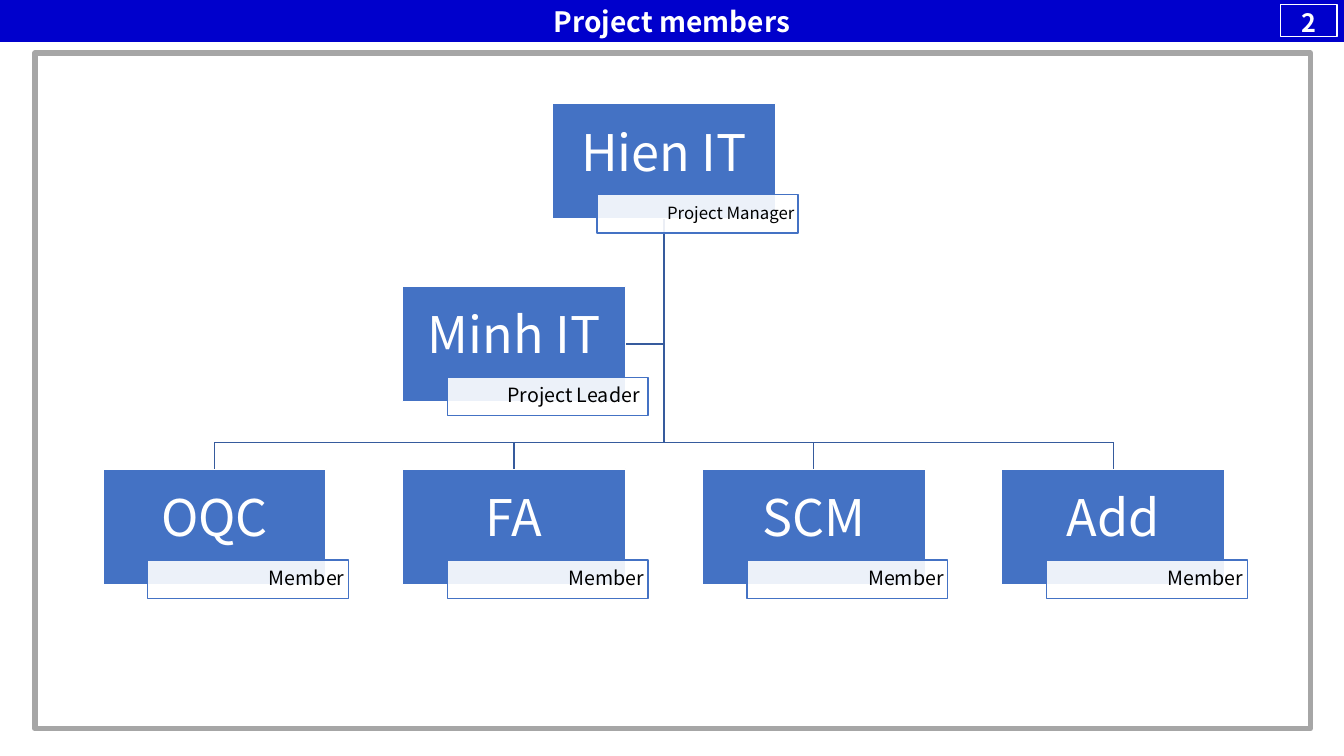
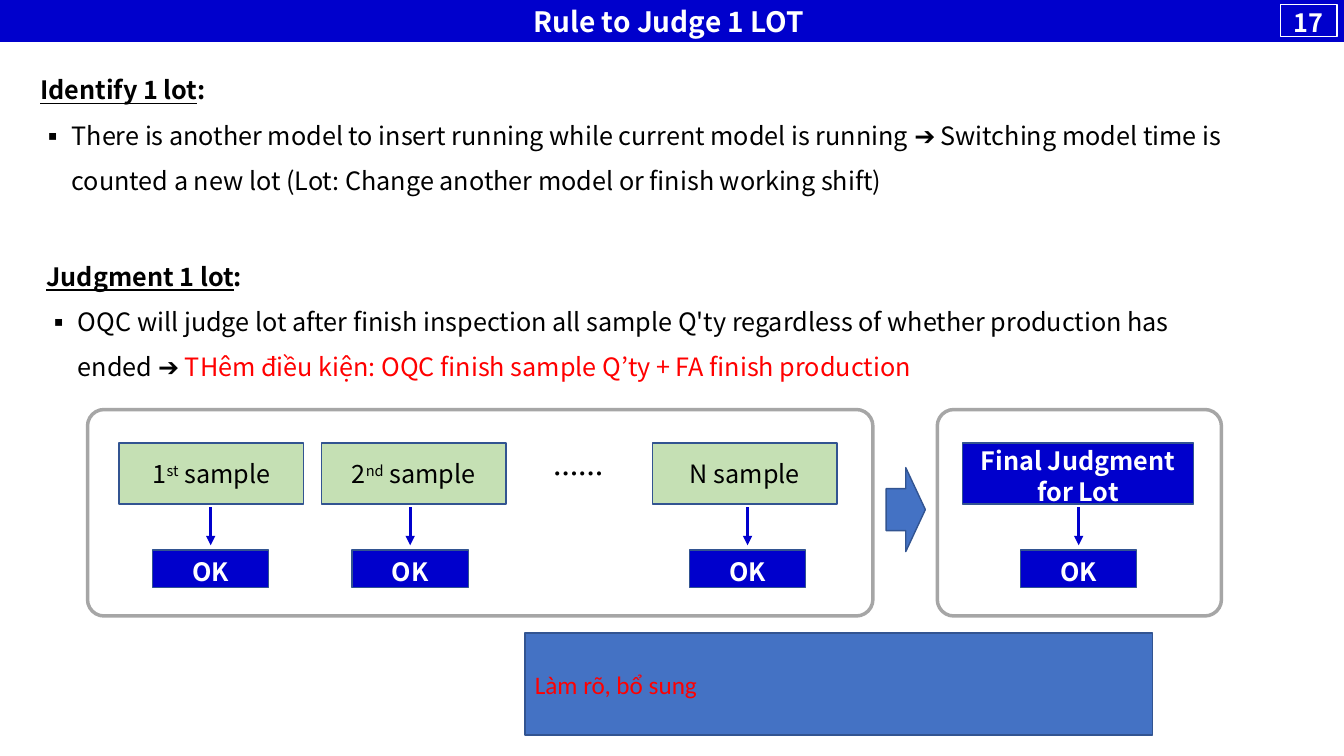
from pptx import Presentation
from pptx.dml.color import RGBColor
from pptx.enum.shapes import MSO_CONNECTOR as CON, MSO_SHAPE as SHP
from pptx.enum.text import MSO_ANCHOR as ANC, MSO_AUTO_SIZE as FIT, PP_ALIGN as ALN
from pptx.oxml.ns import qn
from pptx.util import Pt
from lxml.etree import SubElement as Sub

FONT = "Noto Sans CJK JP"
NAVY = RGBColor(0x00, 0x00, 0xCC)
BLUE = RGBColor(0x44, 0x72, 0xC4)
EDGE = RGBColor(0x32, 0x54, 0x91)
LINK = RGBColor(0x36, 0x5B, 0x9D)
GREEN = RGBColor(0xC5, 0xE0, 0xB4)
GRAY = RGBColor(0xA6, 0xA6, 0xA6)
RED = RGBColor(0xFF, 0x00, 0x00)
WHITE = RGBColor(0xFF, 0xFF, 0xFF)
BLACK = RGBColor(0x00, 0x00, 0x00)

INSET = (7.2, 3.6, 7.2, 3.6)
LOW = (7.2, 3.6, 7.2, 0)  # pushes a label slightly down
BAND = (0, 0, 960, 30)
PITCH_X, PITCH_Y = 214, 130.5  # org chart grid
NAME_W, NAME_H = 159.5, 82.5


def place(shape, area):
    shape.left, shape.top, shape.width, shape.height = map(Pt, area)


def style(run, size, color, bold=False, name=FONT):
    font = run.font
    font.size, font.bold, font.name = Pt(size), bold, name
    font.color.rgb = color
    latin = run._r.rPr.find(qn("a:latin"))
    east = Sub(run._r.rPr, qn("a:ea"), typeface=name)
    latin.addnext(east)


def fit(frame, inset=INSET, anchor=ANC.MIDDLE):
    frame.word_wrap = True
    frame.auto_size = FIT.NONE
    frame.vertical_anchor = anchor
    (frame.margin_left, frame.margin_top,
     frame.margin_right, frame.margin_bottom) = map(Pt, inset)


def label(shape, text, size, color, bold=False, align=ALN.CENTER,
          inset=INSET, name=FONT, gap=None):
    frame = shape.text_frame
    fit(frame, inset)
    frame.text = text
    para = frame.paragraphs[0]
    para.alignment = align
    para.line_spacing = gap
    style(para.runs[0], size, color, bold, name)
    return para


def box(slide, area, fill=None, line=EDGE, width=1, kind=SHP.RECTANGLE):
    shape = slide.shapes.add_shape(kind, *map(Pt, area))
    shape.shadow.inherit = False
    if fill is None:
        shape.fill.background()
    else:
        shape.fill.solid()
        shape.fill.fore_color.rgb = fill
    shape.line.color.rgb = line
    shape.line.width = Pt(width)
    return shape


def link(slide, start, end, color=LINK, width=1):
    line = slide.shapes.add_connector(CON.STRAIGHT, *map(Pt, start + end))
    line.line.color.rgb = color
    line.line.width = Pt(width)
    Sub(line._element.spPr, qn("a:effectLst"))
    return line


def arrow(slide, start, end):
    line = link(slide, start, end, NAVY, 2.25)
    tail = Sub(line.line._get_or_add_ln(), qn("a:tailEnd"))
    tail.set("type", "triangle")


def head(slide, title, number):
    """Title band with the page number at its right end."""
    band = slide.shapes.title
    place(band, BAND)
    band.fill.solid()
    band.fill.fore_color.rgb = NAVY
    label(band, title, 20, WHITE, True)
    page = box(slide, (914.5, 3, 40.5, 23), line=WHITE)
    label(page, number, 18, WHITE, True, inset=LOW)


def role(slide, left, top, text, size):
    """White tag over the lower right of the name box at left, top."""
    tag = box(slide, (left + 32, top + 65, 143.5, 27.5), WHITE, BLUE)
    color = tag.fill._xPr.find(qn("a:solidFill"))[0]
    Sub(color, qn("a:alpha"), val="90000")
    side = size / 5
    label(tag, text, size, BLACK, align=ALN.RIGHT,
          inset=(side, 1, side, 1), gap=0.9)


def chart(slide, left, top):
    """Organisation chart on a grid of columns and rows."""
    people = [("Hien IT", "Project Manager", 1.5, 0, 12),
              ("Minh IT", "Project Leader ", 1, 1, 14)]
    people += [(name, "Member", col, 2, 14)
               for col, name in enumerate(("OQC", "FA", "SCM", "Add"))]
    cards = []
    for name, _, col, row, _ in people:
        card = box(slide, (left + col * PITCH_X, top + row * PITCH_Y,
                           NAME_W, NAME_H), BLUE, WHITE)
        label(card, name, 36, WHITE, inset=(2, 2, 2, 11.5), gap=0.9)
        cards.append(card)

    boss, lead, *team = cards
    mids = [left + col * PITCH_X + NAME_W / 2 for col in range(4)]
    axis = (mids[0] + mids[3]) / 2
    bus = top + 2 * PITCH_Y - 19
    side = top + PITCH_Y + NAME_H / 2
    link(slide, (axis, top), (axis, bus)).begin_connect(boss, 2)
    link(slide, (axis, side), (axis, side)).end_connect(lead, 3)
    link(slide, (mids[0], bus), (mids[3], bus))
    for mid, card in zip(mids, team):
        link(slide, (mid, bus), (mid, bus)).end_connect(card, 0)

    for _, job, col, row, size in people:
        role(slide, left + col * PITCH_X, top + row * PITCH_Y, job, size)


def rule(holder, area, title, parts):
    """Underlined heading and one bullet made of (text, colour) parts."""
    place(holder, area)
    frame = holder.text_frame
    fit(frame, anchor=ANC.TOP)
    first, item = frame.paragraphs[0], frame.add_paragraph()
    for para, indent in ((first, 0), (item, 22.5)):
        props = para._p.get_or_add_pPr()
        props.set("marL", str(Pt(indent)))
        props.set("indent", str(Pt(-indent)))
        if indent:
            Sub(props, qn("a:buFont"), typeface=FONT)
            Sub(props, qn("a:buChar"), char="▪")
        else:
            Sub(props, qn("a:buNone"))
        para.line_spacing = 1.5
        para.space_before = Pt(0)
    for text, line in ((title, True), (":", False)):
        run = first.add_run()
        run.text = text
        style(run, 18, BLACK, True)
        run.font.underline = line
    for text, color in parts:
        run = item.add_run()
        run.text = text
        style(run, 18, color)


def panel(slide, area):
    frame = box(slide, area, line=GRAY, width=2.5, kind=SHP.ROUNDED_RECTANGLE)
    frame.adjustments[0] = 0.08


def step(slide, left, top, wide, mid, fill):
    """Box with an arrow at mid down to OK; returns the upper box."""
    card = box(slide, (left, top, wide, 43.5), fill)
    arrow(slide, (mid, top + 46), (mid, top + 73))
    done = box(slide, (mid - 41.5, top + 76.5, 83, 26.5), NAVY)
    label(done, "OK", 18, WHITE, True, inset=LOW)
    return card


def samples(slide, left, top):
    for x, mid, lead, power, rest in ((22.5, 88, "1", "st", " sample"),
                                      (167, 230.5, "2", "nd", " sample"),
                                      (403.5, 471.5, "N sample", "", "")):
        card = step(slide, left + x, top + 24, 132, left + mid, GREEN)
        para = label(card, lead, 18, BLACK)
        for text, base in ((power, "30000"), (rest, "0")):
            if text:
                run = para.add_run()
                run.text = text
                style(run, 18, BLACK)
                run._r.rPr.set("baseline", base)
    dots = slide.shapes.add_textbox(*map(Pt, (left + 312.5, top + 24, 77, 43.5)))
    label(dots, "……", 18, BLACK, True)
    panel(slide, (left, top, 561, 147.5))


def verdict(slide, left, top):
    card = step(slide, left + 18, top + 24, 165, left + 101, NAVY)
    label(card, "Final Judgment for Lot", 18, WHITE, True, inset=LOW)
    panel(slide, (left, top, 203, 147.5))


def members(deck):
    slide = deck.slides.add_slide(deck.slide_layouts[5])
    head(slide, "Project members", "2")
    chart(slide, 73.5, 74)
    box(slide, (25, 38, 911, 482.5), line=GRAY, width=4)


def judging(deck):
    slide = deck.slides.add_slide(deck.slide_layouts[3])
    head(slide, "Rule to Judge 1 LOT ", "17")
    _, upper, lower = slide.placeholders
    rule(upper, (21.5, 39, 892, 103), "Identify 1 lot", [
        ("There is another model to insert running while current model is "
         "running ➔ Switching model time is counted a new lot (Lot: Change "
         "another model or finish working shift)", BLACK)])
    rule(lower, (26, 172, 865.5, 103), "Judgment 1 lot", [
        ("OQC will judge lot after finish inspection all sample Q'ty "
         "regardless of whether production has ended ➔ ", BLACK),
        ("THêm điều kiện: OQC finish sample Q’ty + FA finish production", RED)])
    samples(slide, 62.5, 292.5)
    box(slide, (633, 334, 28, 60), BLUE, kind=SHP.RIGHT_ARROW)
    verdict(slide, 669.5, 292.5)
    note = box(slide, (375, 452, 448.5, 73), BLUE)
    label(note, "Làm rõ, bổ sung", 18, RED, align=ALN.LEFT, name="Calibri")


def main():
    deck = Presentation()
    deck.slide_width, deck.slide_height = Pt(960), Pt(540)
    members(deck)
    judging(deck)
    deck.save("out.pptx")


if __name__ == "__main__":
    main()
